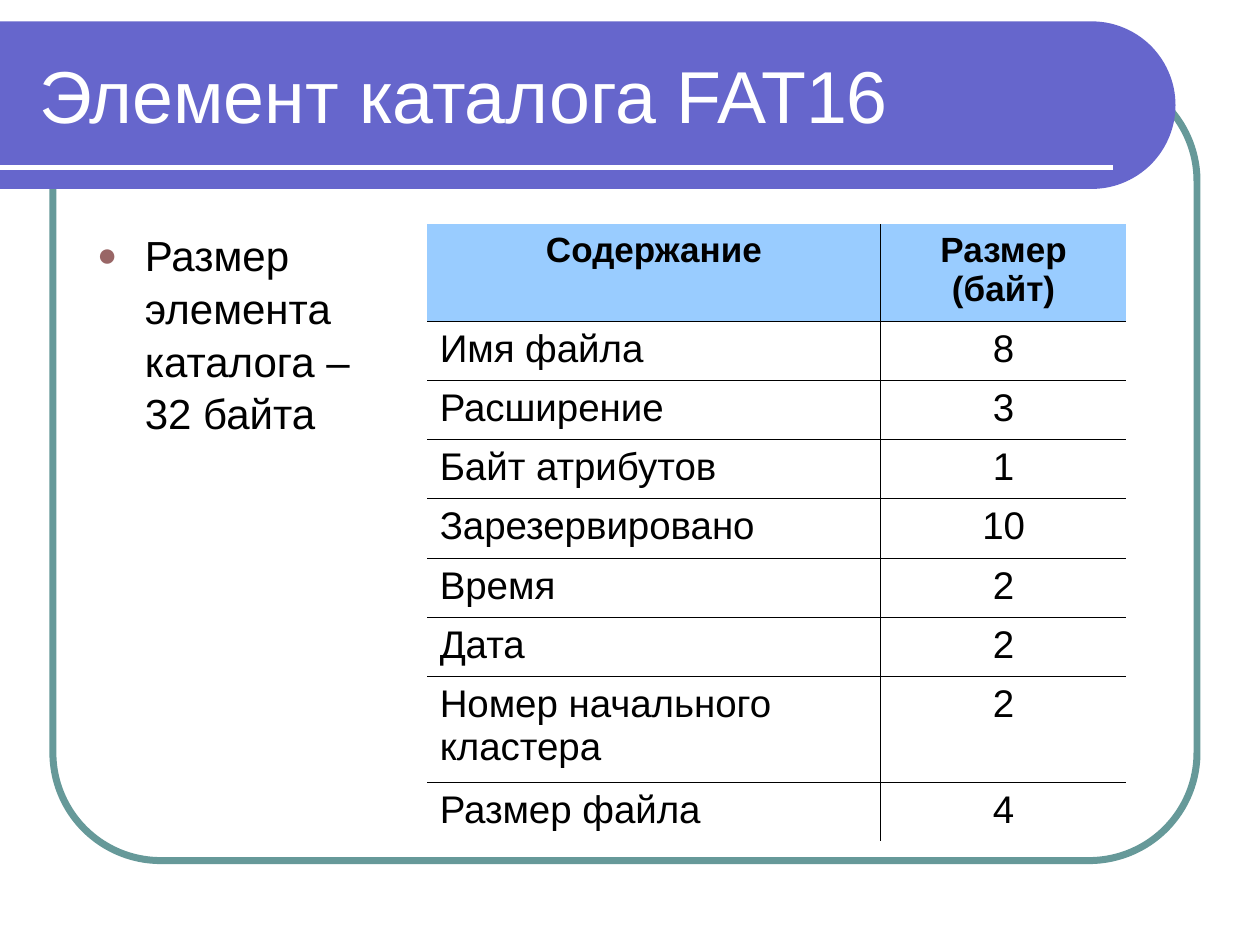
from math import cos, pi, sin

from lxml.etree import SubElement
from pptx import Presentation
from pptx.dml.color import RGBColor
from pptx.enum.shapes import MSO_CONNECTOR as Connector, MSO_SHAPE as Preset
from pptx.enum.text import MSO_ANCHOR as Anchor, MSO_AUTO_SIZE as AutoSize, PP_ALIGN as Align
from pptx.oxml import parse_xml
from pptx.oxml.ns import nsdecls, qn
from pptx.util import Inches, Pt

FONT = "Arial"
BLACK, WHITE = "000000", "FFFFFF"
VIOLET, TEAL, ROSE, SKY = "6666CC", "669999", "996666", "99CCFF"

FIELDS = [
    ("Содержание", "Размер (байт)"),
    ("Имя файла", "8"),
    ("Расширение", "3"),
    ("Байт атрибутов", "1"),
    ("Зарезервировано", "10"),
    ("Время", "2"),
    ("Дата", "2"),
    ("Номер начального кластера", "2"),
    ("Размер файла", "4"),
]
COLUMN_WIDTHS = (3.6, 1.95)
ROW_HEIGHT = 0.47
TALL_ROWS = {0: 0.77, 7: 0.84}


def color(value):
    return RGBColor.from_string(value)


def write(paragraph, text, size, ink=BLACK, bold=False, align=Align.LEFT):
    paragraph.alignment = align
    run = paragraph.add_run()
    run.text = text
    font = run.font
    font.name, font.size, font.bold = FONT, Pt(size), bold
    font.color.rgb = color(ink)


def place(shape, left, top, width, height):
    shape.left, shape.top = Inches(left), Inches(top)
    shape.width, shape.height = Inches(width), Inches(height)


# Backdrop: rounded frame, title band and its underline
def add_frame(slide):
    frame = slide.shapes.add_shape(
        Preset.ROUNDED_RECTANGLE, Inches(0.42), Inches(0.58), Inches(9.08), Inches(6.25))
    frame.adjustments[0] = 0.137
    frame.shadow.inherit = False
    frame.fill.background()
    frame.line.color.rgb = color(TEAL)
    frame.line.width = Pt(4)


def add_band(slide, top=0.17, bottom=1.5, right=9.33, steps=60):
    radius = (bottom - top) / 2
    middle = (top + bottom) / 2
    angles = [pi * step / steps - pi / 2 for step in range(steps + 1)]
    cap = [(right - radius + radius * cos(a), middle + radius * sin(a)) for a in angles]
    outline = slide.shapes.build_freeform(0, Inches(top))
    outline.add_line_segments(
        [(Inches(x), Inches(y)) for x, y in cap + [(0, bottom)]], close=True)
    band = outline.convert_to_shape()
    band.shadow.inherit = False
    band.fill.solid()
    band.fill.fore_color.rgb = color(VIOLET)
    band.line.fill.background()


def add_underline(slide):
    underline = slide.shapes.add_connector(
        Connector.STRAIGHT, 0, Inches(1.33), Inches(8.83), Inches(1.33))
    underline.line.color.rgb = color(WHITE)
    underline.line.width = Pt(3)
    SubElement(underline._element.spPr, qn("a:effectLst"))


# Title and bullet list
def fill_placeholder(slide, holder, box, anchor):
    slide.shapes._spTree.append(holder._element)  # bring in front of the backdrop
    place(holder, *box)
    frame = holder.text_frame
    frame.word_wrap = True
    frame.auto_size = AutoSize.NONE
    frame.vertical_anchor = anchor
    return frame.paragraphs[0]


def add_bullet(paragraph, symbol, ink, percent, indent):
    props = paragraph._p.get_or_add_pPr()
    props.set("marL", str(Inches(indent)))
    props.set("indent", str(-Inches(indent)))
    for xml in (f'<a:buClr {nsdecls("a")}><a:srgbClr val="{ink}"/></a:buClr>',
                f'<a:buSzPct {nsdecls("a")} val="{percent * 1000}"/>',
                f'<a:buFont {nsdecls("a")} typeface="{FONT}"/>',
                f'<a:buChar {nsdecls("a")} char="{symbol}"/>'):
        props.append(parse_xml(xml))


# Table with inner rules only
def set_borders(cell, ruled_sides):
    props = cell._tc.get_or_add_tcPr()
    for position, side in enumerate("LRTB"):
        ink = (f'<a:solidFill><a:srgbClr val="{BLACK}"/></a:solidFill>'
               if side in ruled_sides else "<a:noFill/>")
        props.insert(position, parse_xml(
            f'<a:ln{side} {nsdecls("a")} w="{Pt(0.45)}">{ink}</a:ln{side}>'))


def add_fields_table(slide):
    heights = [TALL_ROWS.get(row, ROW_HEIGHT) for row in range(len(FIELDS))]
    table = slide.shapes.add_table(
        len(FIELDS), len(COLUMN_WIDTHS), Inches(3.39), Inches(1.78),
        Inches(sum(COLUMN_WIDTHS)), Inches(sum(heights))).table
    for column, width in zip(table.columns, COLUMN_WIDTHS):
        column.width = Inches(width)
    for row, (height, field) in enumerate(zip(heights, FIELDS)):
        table.rows[row].height = Inches(height)
        header = row == 0
        for col, text in enumerate(field):
            cell = table.cell(row, col)
            if header:
                cell.fill.solid()
                cell.fill.fore_color.rgb = color(SKY)
            else:
                cell.fill.background()
            sides = "R" if col == 0 else "L"
            sides += "" if header else "T"
            sides += "B" if row < len(FIELDS) - 1 else ""
            set_borders(cell, sides)
            write(cell.text_frame.paragraphs[0], text, 20 if header else 22, bold=header,
                  align=Align.CENTER if header or col == 1 else Align.LEFT)


def main():
    deck = Presentation()
    deck.slide_width, deck.slide_height = Inches(10), Inches(7.5)
    slide = deck.slides.add_slide(deck.slide_layouts[1])

    add_frame(slide)
    add_band(slide)
    add_underline(slide)

    title = fill_placeholder(slide, slide.shapes.title, (0.21, 0.25, 8.77, 1), Anchor.MIDDLE)
    write(title, "Элемент каталога FAT16", 42, WHITE)

    size_note = fill_placeholder(
        slide, slide.placeholders[1], (0.67, 1.75, 2.48, 4.83), Anchor.TOP)
    add_bullet(size_note, "●", ROSE, 80, 0.38)
    size_note.space_before = Pt(0)
    size_note.line_spacing = 1.05
    write(size_note, "Размер элемента каталога – 32 байта", 24)

    add_fields_table(slide)
    deck.save("out.pptx")


if __name__ == "__main__":
    main()
